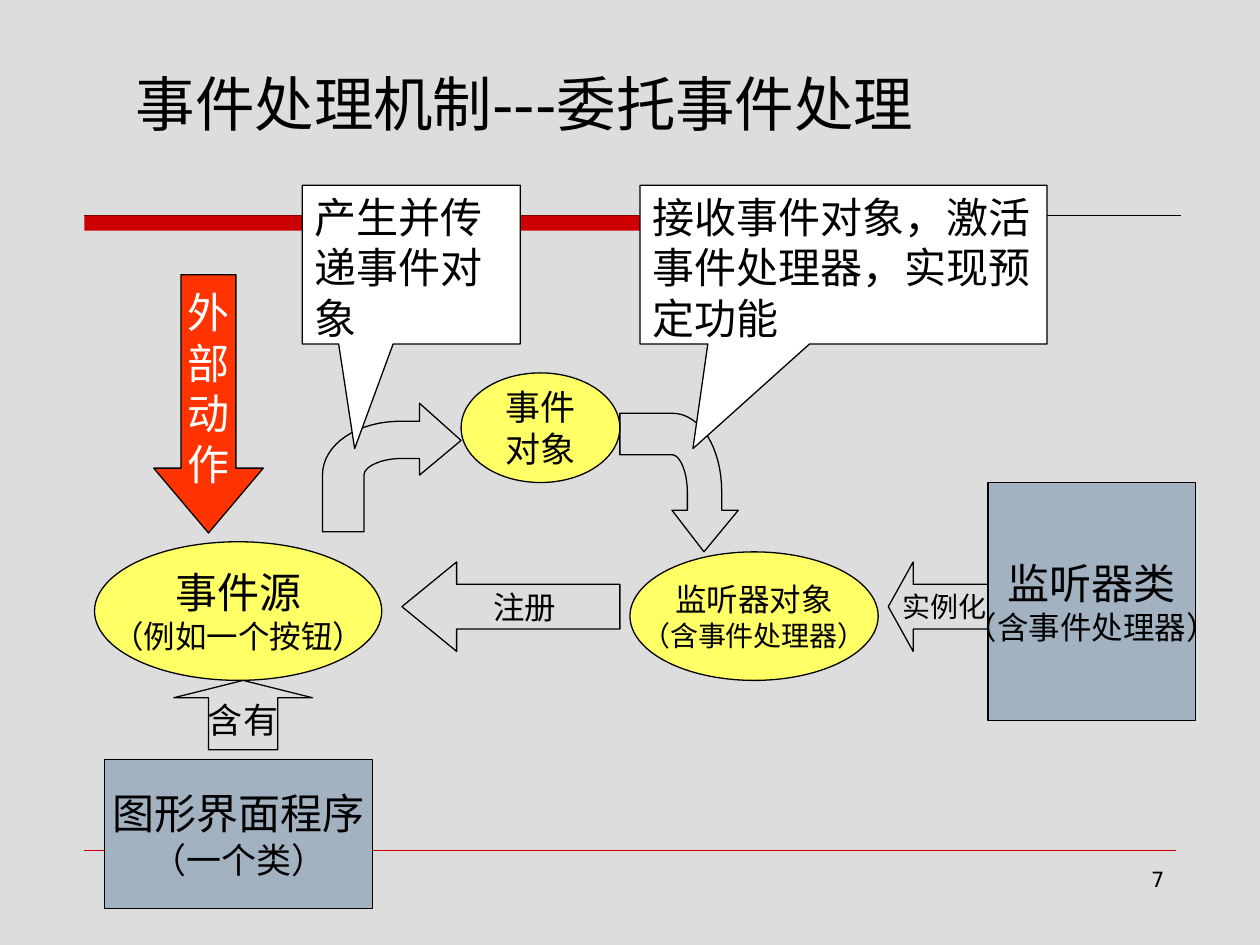
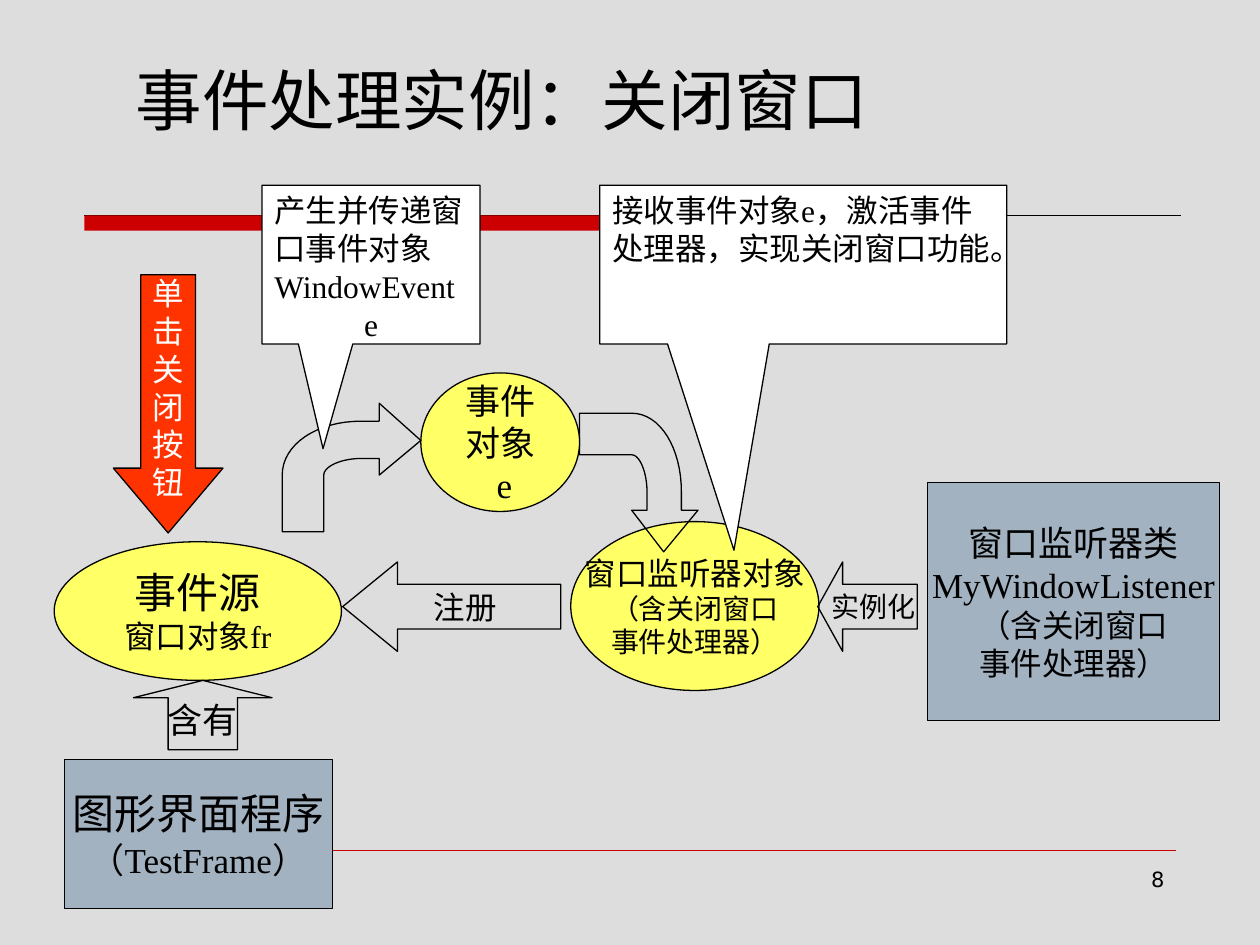
"""Build two slides that explain delegated event handling."""
import pptx
import pptx.dml.color
import pptx.enum.shapes
import pptx.enum.text
import pptx.oxml.ns
import pptx.util
from lxml import etree

Inches = pptx.util.Inches
SHAPE = pptx.enum.shapes.MSO_SHAPE
ALIGN = pptx.enum.text.PP_ALIGN
ANCHOR = pptx.enum.text.MSO_ANCHOR

GREY, RED, BLACK, WHITE = "DDDDDD", "CC0000", "000000", "FFFFFF"
BLUE, YELLOW, ORANGE = "A3B2C1", "FFFF66", "FF3300"
HEADING_FONT, BODY_FONT = "DejaVu Sans", "Times New Roman"


def color(value):
    """Turn a hex string into a colour."""
    return pptx.dml.color.RGBColor.from_string(value)


def write_text(shape, lines, font=BODY_FONT, text_color=BLACK, align=ALIGN.CENTER,
               anchor=ANCHOR.MIDDLE, wrap=False):
    """Write lines of (text, size) or (text, size, align) into a shape."""
    frame = shape.text_frame
    frame.word_wrap = wrap
    frame.vertical_anchor = anchor
    for index, (text, size, *own_align) in enumerate(lines):
        paragraph = frame.add_paragraph() if index else frame.paragraphs[0]
        paragraph.alignment = own_align[0] if own_align else align
        run = paragraph.add_run()
        run.text = text
        run.font.size = pptx.util.Pt(size)
        run.font.name = font
        run.font.color.rgb = color(text_color)


def paint(shape, fill=None, line=BLACK):
    """Set fill and outline and drop the shadow."""
    shape.shadow.inherit = False
    if fill:
        shape.fill.solid()
        shape.fill.fore_color.rgb = color(fill)
    else:
        shape.fill.background()
    if line:
        shape.line.color.rgb = color(line)
        shape.line.width = pptx.util.Pt(0.75)
    else:
        shape.line.fill.background()


def add_node(slide, kind, box, lines=(), fill=None, line=BLACK, adjust=(), **text_format):
    """Add a preset shape with its text."""
    shape = slide.shapes.add_shape(kind, *map(Inches, box))
    for index, value in enumerate(adjust):
        shape.adjustments[index] = value
    paint(shape, fill, line)
    write_text(shape, lines, **text_format)


def add_callout(slide, box, lines, adjust):
    """Add a white callout whose text wraps from the top left."""
    add_node(slide, SHAPE.RECTANGULAR_CALLOUT, box, lines, WHITE, adjust=adjust,
             align=ALIGN.LEFT, anchor=ANCHOR.TOP, wrap=True)


def add_label(slide, box, lines, **text_format):
    """Add a text box that wraps."""
    write_text(slide.shapes.add_textbox(*map(Inches, box)), lines,
               font=HEADING_FONT, wrap=True, **text_format)


def add_rule(slide, left, right, top, line, width):
    """Add a horizontal line."""
    rule = slide.shapes.add_connector(pptx.enum.shapes.MSO_CONNECTOR.STRAIGHT,
                                      *map(Inches, (left, top, right, top)))
    rule.line.color.rgb = color(line)
    rule.line.width = pptx.util.Pt(width)
    etree.SubElement(rule._element.spPr, pptx.oxml.ns.qn("a:effectLst"))


def curve(*controls, steps=16):
    """Return points along a cubic curve."""
    weights = [((1 - t) ** 3, 3 * t * (1 - t) ** 2, 3 * t * t * (1 - t), t ** 3)
               for t in (step / steps for step in range(steps + 1))]
    return [tuple(sum(w * point[axis] for w, point in zip(row, controls))
                  for axis in (0, 1)) for row in weights]


BENT_ARROW = [
    (1, 0.29), (0.7, 0), (0.7, 0.14),
    *curve((0.57, 0.14), (0.25, 0.14), (0, 0.32), (0, 0.56)),
    (0, 1), (0.3, 1),
    *curve((0.3, 0.56), (0.3, 0.49), (0.43, 0.43), (0.57, 0.43)),
    (0.7, 0.43), (0.7, 0.56),
]


def add_bent_arrow(slide, left, top, width, height, downward=False):
    """Add a curved arrow that points right, or down when turned."""
    outline = [(1 - y, x) if downward else (x, y) for x, y in BENT_ARROW]
    points = [(Inches(left + x * width), Inches(top + y * height)) for x, y in outline]
    builder = slide.shapes.build_freeform(*points[0])
    builder.add_line_segments(points[1:], close=True)
    paint(builder.convert_to_shape())


def add_base_slide(presentation, title, title_size, number):
    """Add a slide with its title, red band, footer line and number."""
    slide = presentation.slides.add_slide(presentation.slide_layouts[6])
    add_rule(slide, 0.67, 9.37, 1.71, BLACK, 0.75)
    add_node(slide, SHAPE.RECTANGLE, (0.67, 1.71, 5.09, 0.12), fill=RED, line=None)
    add_rule(slide, 0.67, 9.33, 6.75, RED, 0.25)
    add_label(slide, (7.17, 6.83, 2.17, 0.52), [(number, 12)],
              align=ALIGN.RIGHT, anchor=ANCHOR.TOP)
    add_label(slide, (0.98, 0.28, 8.5, 0.87), [(title, title_size)],
              align=ALIGN.LEFT, anchor=ANCHOR.BOTTOM)
    return slide


def add_event_diagram(slide, content, shift=0, listener_shift=0, instance_left=7.05):
    """Draw the flow from event source to listener."""
    class_left, class_width = content["class_span"]
    listener_top, listener_height = content["listener_span"]
    action, action_size = content["action"]
    add_node(slide, SHAPE.RECTANGLE, (0.83 + shift, 6.03, 2.13, 1.18),
             content["program"], BLUE)
    add_node(slide, SHAPE.RECTANGLE, (class_left, 3.83, class_width, 1.89),
             content["class"], BLUE)
    add_node(slide, SHAPE.OVAL, (5 + listener_shift, listener_top, 1.97, listener_height),
             content["listener"], YELLOW)
    add_node(slide, SHAPE.LEFT_ARROW, (instance_left, 4.46, 0.79, 0.71),
             [("实例化", 16)], adjust=(0.5, 0.278))
    add_node(slide, SHAPE.LEFT_ARROW, (3.19 + listener_shift, 4.46, 1.73, 0.71),
             [("注册", 18)], adjust=(0.5, 0.612))
    add_node(slide, SHAPE.DOWN_ARROW, (1.22 + shift, 2.18, 0.87, 2.05),
             [(letter, action_size) for letter in action], ORANGE,
             adjust=(0.5, 0.591), text_color=WHITE)
    add_bent_arrow(slide, 4.92 + shift, 3.28, 0.94, 1.1, downward=True)
    add_node(slide, SHAPE.OVAL, (3.66 + shift, 2.96, 1.26, content["event_height"]),
             [(text, 20) for text in content["event"]], YELLOW)
    add_bent_arrow(slide, 2.56 + shift, 3.2, 1.1, 1.02)
    for left, width, name in ((2.4, 1.73, "send"), (5.08, 3.23, "receive")):
        lines, adjust = content[name]
        add_callout(slide, (left + shift, 1.47, width, 1.26), lines, adjust)
    add_node(slide, SHAPE.OVAL, (0.75 + shift, 4.3, 2.28, 1.1),
             [("事件源", 24), (content["source"], 18)], YELLOW)
    add_node(slide, SHAPE.UP_ARROW, (1.38 + shift, 5.4, 1.1, 0.55),
             [("含有", 20)], adjust=(0.5, 0.25))


DELEGATION = {
    "program": [("图形界面程序", 24), ("（一个类）", 20)],
    "class": [("监听器类", 24), ("（含事件处理器）", 18)],
    "class_span": (7.84, 1.65),
    "listener": [("监听器对象", 18), ("（含事件处理器）", 16)],
    "listener_span": (4.38, 1.02),
    "action": ("外部动作", 24),
    "event": ["事件", "对象"],
    "event_height": 0.87,
    "send": ([("产生并传递事件对象", 24)], (-0.26, 1.16)),
    "receive": ([("接收事件对象，激活事件处理器，实现预定功能", 24)], (-0.37, 1.16)),
    "source": "（例如一个按钮）",
}

CLOSE_WINDOW = {
    "program": [("图形界面程序", 24), ("（TestFrame）", 20)],
    "class": [("窗口监听器类", 20), ("MyWindowListener", 20),
              ("（含关闭窗口", 18), ("事件处理器）", 18)],
    "class_span": (7.36, 2.32),
    "listener": [("窗口监听器对象", 18), ("（含关闭窗口", 16), ("事件处理器）", 16)],
    "listener_span": (4.14, 1.34),
    "action": ("单击关闭按钮", 18),
    "event": ["事件", "对象", " e"],
    "event_height": 1.1,
    "send": ([("产生并传递窗口事件对象", 18), ("WindowEvent", 18), ("e", 18, ALIGN.CENTER)],
             (-0.22, 1.16)),
    "receive": ([("接收事件对象e，激活事件处理器，实现关闭窗口功能。", 18)], (-0.17, 1.8)),
    "source": "窗口对象fr",
}


def main():
    """Build both slides and save them."""
    presentation = pptx.Presentation()
    presentation.slide_width, presentation.slide_height = Inches(10), Inches(7.5)
    background = presentation.slide_master.background.fill
    background.solid()
    background.fore_color.rgb = color(GREY)

    slide = add_base_slide(presentation, "事件处理机制---委托事件处理", 34, "7")
    add_event_diagram(slide, DELEGATION)
    slide = add_base_slide(presentation, "事件处理实例：关闭窗口", 38, "8")
    add_event_diagram(slide, CLOSE_WINDOW, shift=-0.32, listener_shift=-0.47,
                      instance_left=6.49)
    presentation.save("out.pptx")


if __name__ == "__main__":
    main()
